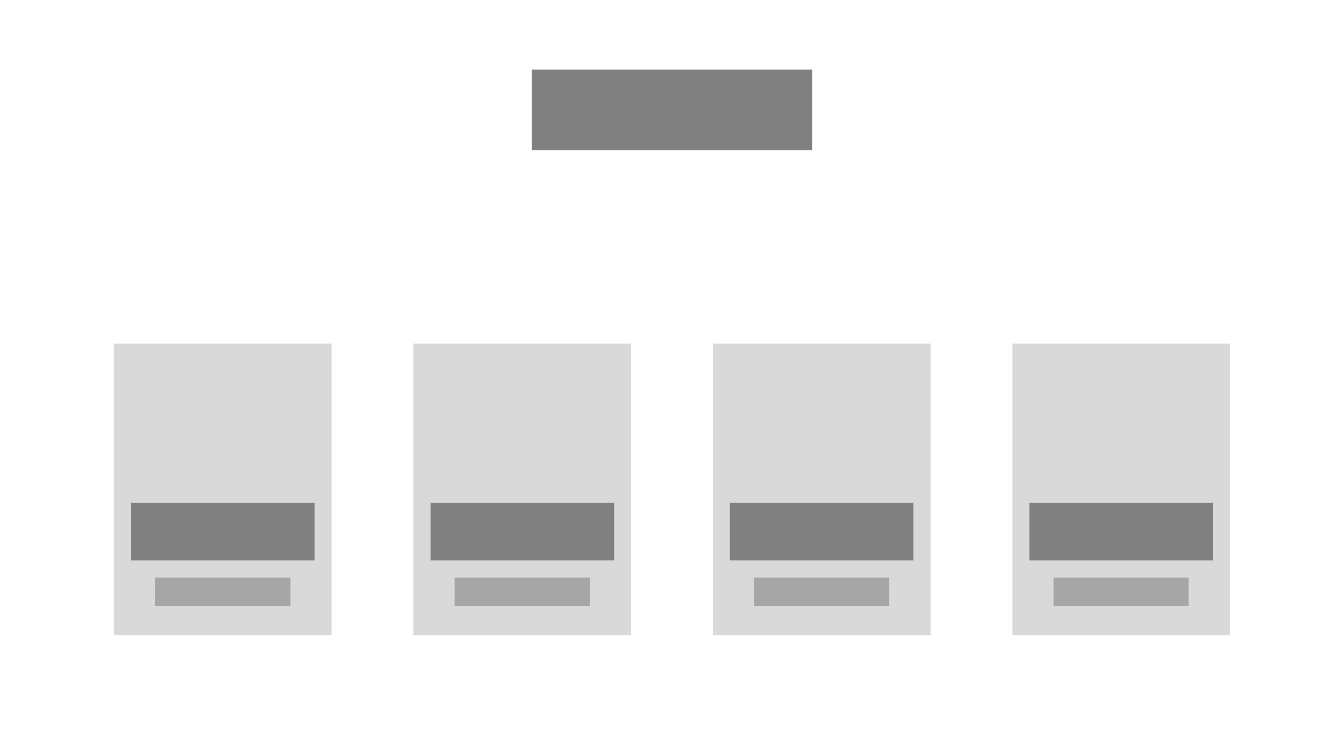
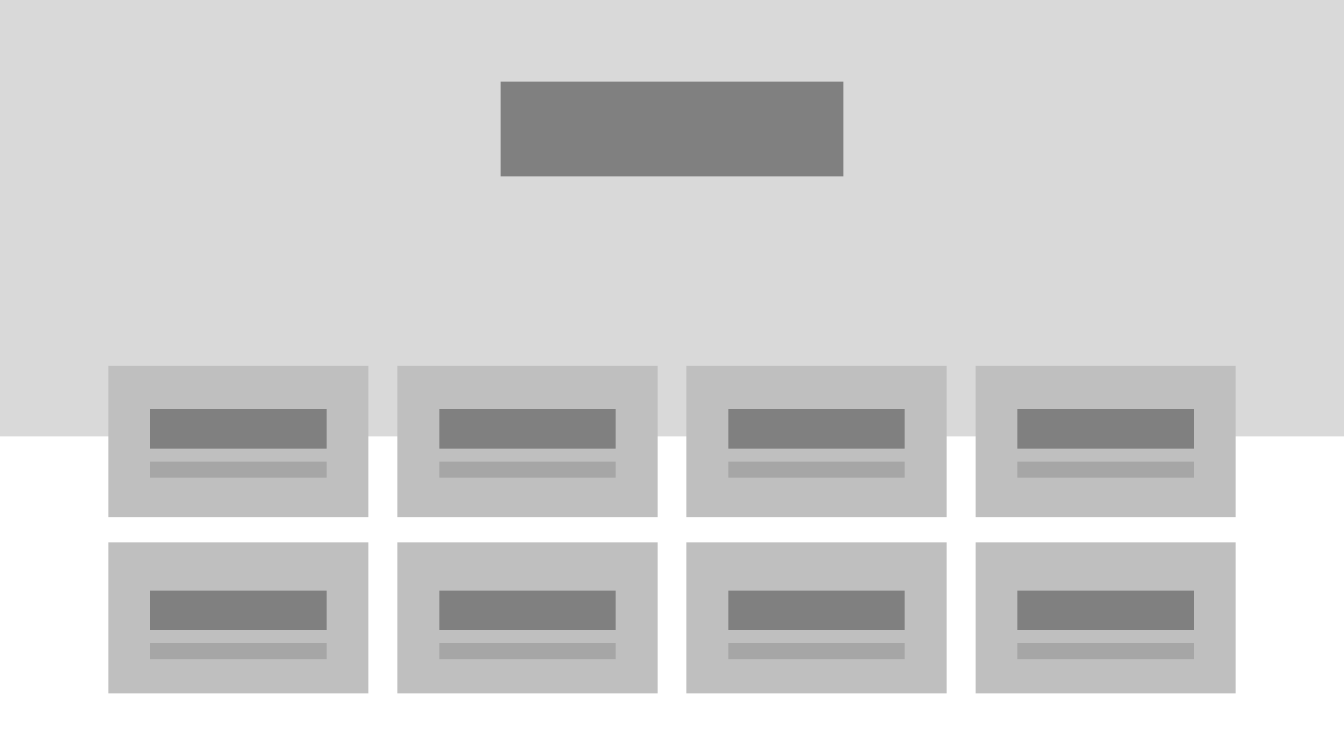
from pptx import Presentation
from pptx.dml.color import RGBColor
from pptx.enum.shapes import MSO_SHAPE
from pptx.util import Inches

COLORS = {
    "panel": "D9D9D9",
    "card": "BFBFBF",
    "heading": "808080",
    "caption": "A6A6A6",
}
SLIDE_WIDTH = 13.33
COLUMNS = 4


def add_block(page, color, left, top, width, height):
    block = page.shapes.add_shape(
        MSO_SHAPE.RECTANGLE, Inches(left), Inches(top), Inches(width), Inches(height)
    )
    block.shadow.inherit = False
    block.fill.solid()
    block.fill.fore_color.rgb = RGBColor.from_string(COLORS[color])
    block.line.fill.background()


def add_centred(page, color, center, top, width, height):
    add_block(page, color, center - width / 2, top, width, height)


deck = Presentation()
deck.slide_width = Inches(SLIDE_WIDTH)
deck.slide_height = Inches(7.5)
blank_layout = deck.slide_layouts[6]
middle = SLIDE_WIDTH / 2

page = deck.slides.add_slide(blank_layout)
add_centred(page, "heading", middle, 0.69, 2.78, 0.8)
column_pitch = 2.97
for column in range(COLUMNS):
    center = middle + (column - (COLUMNS - 1) / 2) * column_pitch
    add_centred(page, "panel", center, 3.41, 2.16, 2.89)
    add_centred(page, "heading", center, 4.99, 1.82, 0.57)
    add_centred(page, "caption", center, 5.73, 1.34, 0.28)

page = deck.slides.add_slide(blank_layout)
add_block(page, "panel", 0, 0, SLIDE_WIDTH, 4.33)
add_centred(page, "heading", middle, 0.81, 3.4, 0.94)
column_pitch = 8.6 / (COLUMNS - 1)
for card_top, heading_top in ((3.63, 4.06), (5.38, 5.86)):
    for column in range(COLUMNS):
        center = middle + (column - (COLUMNS - 1) / 2) * column_pitch
        add_centred(page, "card", center, card_top, 2.58, 1.5)
        add_centred(page, "heading", center, heading_top, 1.75, 0.39)
        add_centred(page, "caption", center, heading_top + 0.52, 1.75, 0.16)

deck.save("out.pptx")
